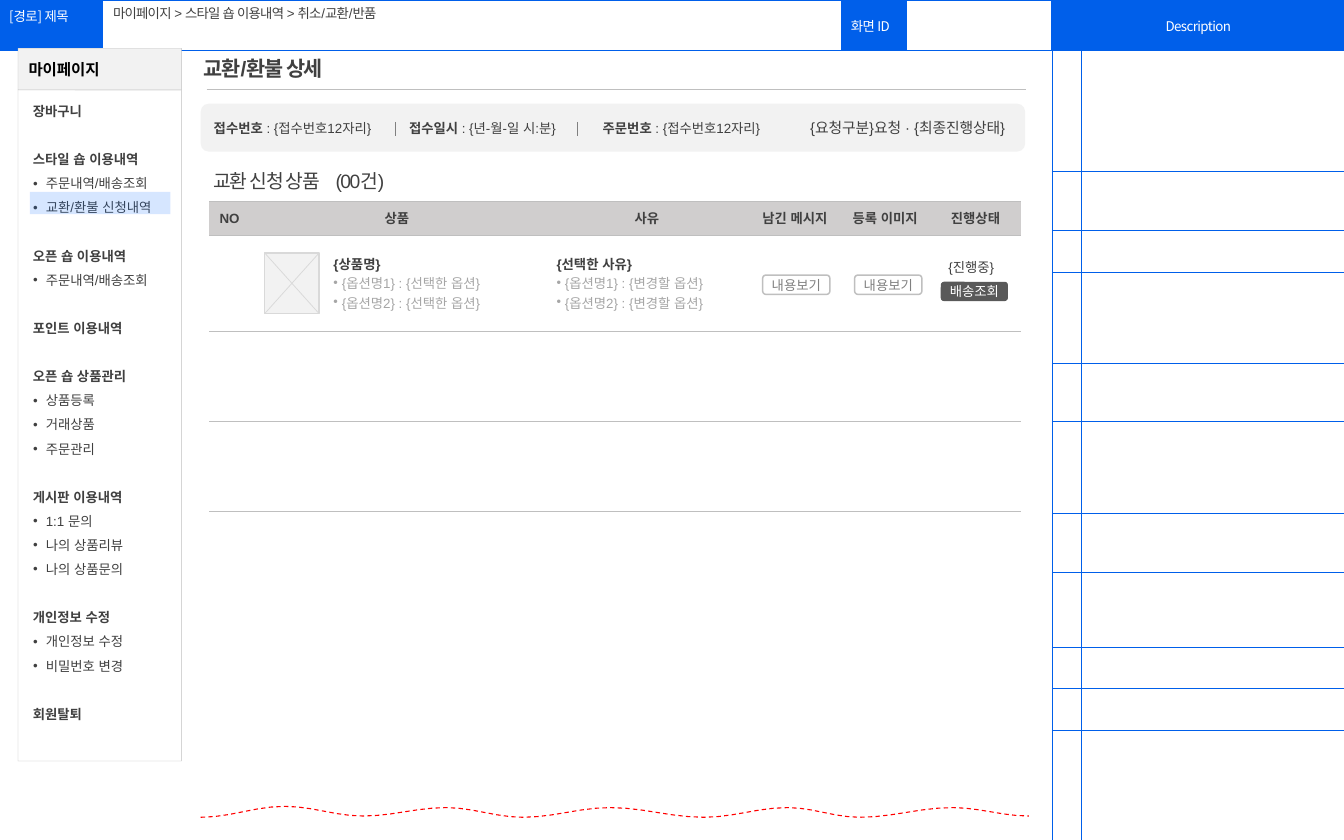
from math import cos, pi

from lxml import etree
from pptx import Presentation
from pptx.dml.color import RGBColor
from pptx.enum.dml import MSO_LINE
from pptx.enum.shapes import MSO_CONNECTOR, MSO_SHAPE
from pptx.enum.text import MSO_ANCHOR, MSO_AUTO_SIZE, PP_ALIGN
from pptx.oxml.ns import qn
from pptx.util import Cm, Pt

LEFT, CENTER, RIGHT = PP_ALIGN.LEFT, PP_ALIGN.CENTER, PP_ALIGN.RIGHT
TOP, MIDDLE = MSO_ANCHOR.TOP, MSO_ANCHOR.MIDDLE
RECT, ROUND = MSO_SHAPE.RECTANGLE, MSO_SHAPE.ROUNDED_RECTANGLE
STRAIGHT, DASH = MSO_CONNECTOR.STRAIGHT, MSO_LINE.DASH
NO_AUTOFIT = MSO_AUTO_SIZE.NONE
LATIN, KOREAN = "Arial", "Noto Sans CJK KR"
PLAIN_TABLE = "{2D5ABB26-0587-4C30-8999-92F81FD0307C}"
MENU_PITCH = Pt(16.27)

BLUE = RGBColor(0x00, 0x5F, 0xEA)
HIGHLIGHT = RGBColor(0x00, 0x66, 0xFF)
RED = RGBColor(0xFF, 0x00, 0x00)
WHITE = RGBColor(0xFF, 0xFF, 0xFF)
BLACK = RGBColor(0x00, 0x00, 0x00)
PALE = RGBColor(0xF2, 0xF2, 0xF2)
FRAME = RGBColor(0xD9, 0xD9, 0xD9)
HEADING = RGBColor(0xD0, 0xCE, 0xCE)
SILVER = RGBColor(0xBF, 0xBF, 0xBF)
MUTED = RGBColor(0xA6, 0xA6, 0xA6)
GRAY = RGBColor(0x80, 0x80, 0x80)
SLATE = RGBColor(0x59, 0x59, 0x59)
TEXT = RGBColor(0x40, 0x40, 0x40)


def write(para, text, size=9, color=TEXT, bold=None, align=LEFT, indent=0,
          hanging=0, bullet_font=None, spacing=0, typeface=LATIN):
    """Fill a paragraph; a hanging indent gives it a bullet."""
    props = para._p.get_or_add_pPr()
    props.set("marL", str(Cm(indent)))
    props.set("indent", str(-Cm(hanging)))
    if bullet_font:
        etree.SubElement(props, qn("a:buFont"), typeface=bullet_font)
    if hanging:
        etree.SubElement(props, qn("a:buChar"), char="•")
    else:
        etree.SubElement(props, qn("a:buNone"))
    para.alignment = align
    para.space_before = Pt(0)
    font = para.font
    font.size, font.bold, font.name = Pt(size), bold, typeface
    font.color.rgb = color
    etree.SubElement(font._rPr, qn("a:ea"), typeface=typeface)
    if spacing:
        font._rPr.set("spc", str(int(spacing * 100)))
    if text:
        para.add_run().text = text


def make_table(left, top, columns, rows, color, width, sides):
    """Add an unstyled table with the given cell borders and no margins."""
    table = page.shapes.add_table(len(rows), len(columns), Cm(left), Cm(top),
                                  Cm(sum(columns)), Cm(sum(rows))).table
    table._tbl.tblPr.find(qn("a:tableStyleId")).text = PLAIN_TABLE
    table.first_row = table.horz_banding = False
    for column, size in zip(table.columns, columns):
        column.width = Cm(size)
    for row, size in zip(table.rows, rows):
        row.height = Cm(size)
    for cell in table.iter_cells():
        cell.margin_left = cell.margin_right = cell.margin_top = cell.margin_bottom = 0
        cell.vertical_anchor = MIDDLE
        for side in sides:
            border = etree.SubElement(cell._tc.tcPr, qn("a:ln" + side), w=str(Pt(width)))
            fill = etree.SubElement(border, qn("a:solidFill"))
            etree.SubElement(fill, qn("a:srgbClr"), val=str(color))
    return table


deck = Presentation()
deck.slide_width, deck.slide_height = Cm(32), Cm(20)
page = deck.slides.add_slide(deck.slide_layouts[1])

# Title and breadcrumb
title, breadcrumb = page.placeholders
for holder, left, top, width, height in ((title, 4.85, 1.32, 7.75, 0.61),
                                         (breadcrumb, 2.44, 0, 17.55, 0.62)):
    holder.left, holder.top, holder.width, holder.height = Cm(left), Cm(top), Cm(width), Cm(height)
    frame = holder.text_frame
    frame.auto_size, frame.vertical_anchor, frame.word_wrap = NO_AUTOFIT, MIDDLE, True
    frame.margin_top = frame.margin_bottom = 0
title.text_frame.margin_left = 0
title.text_frame.vertical_anchor = TOP
write(title.text_frame.paragraphs[0], "교환/환불 상세", 14, bold=True, spacing=-1)
write(breadcrumb.text_frame.paragraphs[0], "마이페이지 > 스타일 숍 이용내역 > 취소/교환/반품", spacing=-0.5)

# Screen header and description grid
header = make_table(0, 0.02, [2.44, 17.6, 1.55, 3.44, 7], [1.18], BLUE, 1, "LRTB")
for index, text, align in ((0, "[경로] 제목", LEFT), (2, "화면 ID", LEFT), (4, "Description", CENTER)):
    cell = header.cell(0, index)
    cell.fill.solid()
    cell.fill.fore_color.rgb = BLUE
    cell.margin_left = cell.margin_right = Cm(0.22)
    write(cell.text_frame.paragraphs[0], text, color=WHITE, align=align, spacing=-0.4, typeface=KOREAN)
header.cell(0, 0).vertical_anchor = TOP
header.cell(0, 0).margin_top = Cm(0.13)
make_table(25.05, 0.71, [0.69, 6.27],
           [3.37, 1.4, 0.99, 2.17, 1.4, 2.18, 1.4, 1.78, 0.99, 0.99, 2.64], BLUE, 0.25, "LRB")

# Requested items
items = make_table(4.98, 4.8, [0.97, 7, 4.9, 2.15, 2.15, 2.15],
                   [0.81, 2.29, 2.13, 2.14], SILVER, 1, "TB")
for index, text in enumerate(("NO", "상품", "사유", "남긴 메시지", "등록 이미지", "진행상태")):
    cell = items.cell(0, index)
    cell.fill.solid()
    cell.fill.fore_color.rgb = HEADING
    write(cell.text_frame.paragraphs[0], text, bold=True, align=CENTER)
for index, margin, name, choice in ((1, 1.99, "{상품명}", "선택한"), (2, 0.3, "{선택한 사유}", "변경할")):
    cell = items.cell(1, index)
    cell.margin_left, cell.margin_top = Cm(margin), Cm(0.03)
    frame = cell.text_frame
    write(frame.paragraphs[0], name, bold=True)
    for number in (1, 2):
        write(frame.add_paragraph(), f"{{옵션명{number}}} : {{{choice} 옵션}}",
              color=MUTED, indent=0.2, hanging=0.2)
    for para in frame.paragraphs:
        para.space_after = Pt(3)
status = items.cell(1, 5)
status.vertical_anchor, status.margin_top, status.margin_right = TOP, Cm(0.58), Cm(0.2)
write(status.text_frame.paragraphs[0], "{진행중}", align=CENTER)

# Boxes: shape, left, top, width, height, fill, line, line width
boxes = {}
for name, kind, left, top, width, height, fill, line, weight in (
        ("menu", ROUND, 0.43, 2.14, 3.89, 15.98, None, SILVER, 0.25),
        ("menu head", ROUND, 0.43, 1.15, 3.89, 0.99, PALE, SILVER, 0.25),
        ("current page", RECT, 0.71, 4.57, 3.35, 0.53, HIGHLIGHT, None, 0),
        ("receipt", ROUND, 4.78, 2.47, 19.63, 1.14, PALE, None, 0),
        ("thumbnail", RECT, 6.3, 6.02, 1.3, 1.45, PALE, FRAME, 1),
        ("message", ROUND, 18.16, 6.55, 1.6, 0.46, WHITE, SILVER, 1),
        ("image", ROUND, 20.35, 6.55, 1.6, 0.46, WHITE, SILVER, 1),
        ("delivery", ROUND, 22.4, 6.71, 1.6, 0.46, SLATE, None, 0)):
    box = page.shapes.add_shape(kind, Cm(left), Cm(top), Cm(width), Cm(height))
    box.shadow.inherit = False
    box.fill.background()
    if fill is not None:
        box.fill.solid()
        box.fill.fore_color.rgb = fill
    box.line.fill.background()
    if line is not None:
        box.line.color.rgb, box.line.width = line, Pt(weight)
    boxes[name] = box
boxes["menu"].adjustments[0] = boxes["menu head"].adjustments[0] = 0.001
tint = boxes["current page"].fill._xPr.find(".//" + qn("a:srgbClr"))
etree.SubElement(tint, qn("a:alpha"), val="16000")

# Side menu
write(boxes["menu head"].text_frame.paragraphs[0], "마이페이지", 10.5, BLACK, True)
menu = (("장바구니",),
        ("스타일 숍 이용내역", "주문내역/배송조회", "교환/환불 신청내역"),
        ("오픈 숍 이용내역", "주문내역/배송조회"),
        ("포인트 이용내역",),
        ("오픈 숍 상품관리", "상품등록", "거래상품", "주문관리"),
        ("게시판 이용내역", "1:1 문의", "나의 상품리뷰", "나의 상품문의"),
        ("개인정보 수정", "개인정보 수정", "비밀번호 변경"),
        ("회원탈퇴",))
frame = boxes["menu"].text_frame
frame.vertical_anchor = TOP
for group, (heading, *links) in enumerate(menu):
    para = frame.add_paragraph() if group else frame.paragraphs[0]
    write(para, heading, bold=True, indent=0.1)
    para.space_before = MENU_PITCH if group else Pt(0)
    para.line_spacing = MENU_PITCH
    for link in links:
        para = frame.add_paragraph()
        write(para, link, indent=0.41, hanging=0.3, bullet_font=LATIN)
        para.line_spacing = MENU_PITCH

# Buttons
for name, text, color in (("message", "내용보기", GRAY), ("image", "내용보기", GRAY),
                          ("delivery", "배송조회", WHITE)):
    frame = boxes[name].text_frame
    frame.margin_left = frame.margin_right = frame.margin_top = frame.margin_bottom = 0
    write(frame.paragraphs[0], text, color=color, align=CENTER)

# Receipt facts, request state and item count
for left, top, width, height, label, text, size, align, spacing in (
        (5.09, 2.7, 4.3, 0.69, "접수번호 ", ": {접수번호12자리}", 9, LEFT, 0),
        (9.74, 2.7, 4.4, 0.69, "접수일시 ", ": {년-월-일 시:분}", 9, LEFT, 0),
        (14.35, 2.7, 4.3, 0.69, "주문번호 ", ": {접수번호12자리}", 9, LEFT, 0),
        (18.6, 2.69, 5.33, 0.69, "", "{요청구분}요청 · {최종진행상태}", 10, RIGHT, 0),
        (5.09, 4.03, 2.8, 0.56, "", "교환 신청 상품", 13, LEFT, -1),
        (7.99, 4.03, 2.5, 0.56, "", "(00건)", 13, LEFT, -1)):
    box = page.shapes.add_textbox(Cm(left), Cm(top), Cm(width), Cm(height))
    frame = box.text_frame
    frame.word_wrap, frame.vertical_anchor = True, MIDDLE
    frame.margin_left = frame.margin_right = frame.margin_top = frame.margin_bottom = 0
    para = frame.paragraphs[0]
    write(para, label, size, align=align, spacing=spacing)
    for span in para.runs:
        span.font.bold = True
    para.add_run().text = text

# Title rule, receipt dividers and thumbnail cross
for x1, y1, x2, y2, color in ((4.92, 2.13, 24.44, 2.13, SILVER),
                              (9.42, 2.9, 9.42, 3.23, GRAY), (13.74, 2.9, 13.74, 3.23, GRAY),
                              (6.3, 6.02, 7.6, 7.47, FRAME), (7.6, 6.02, 6.3, 7.47, FRAME)):
    rule = page.shapes.add_connector(STRAIGHT, Cm(x1), Cm(y1), Cm(x2), Cm(y2))
    rule.line.color.rgb, rule.line.width = color, Pt(0.5)
    etree.SubElement(rule._element.spPr, qn("a:effectLst"))

# Wavy page break, eased between its turning points
turns = ((4.78, 19.46), (6.78, 19.2), (8.64, 19.43), (10.62, 19.23), (12.45, 19.46), (14.53, 19.23),
         (16.76, 19.46), (18.75, 19.23), (20.47, 19.46), (22.68, 19.23), (24.5, 19.43))
points = [(Cm(x1 + (x2 - x1) * step / 6), Cm(y1 + (y2 - y1) * (1 - cos(pi * step / 6)) / 2))
          for (x1, y1), (x2, y2) in zip(turns, turns[1:]) for step in range(1, 7)]
builder = page.shapes.build_freeform(Cm(turns[0][0]), Cm(turns[0][1]))
builder.add_line_segments(points, close=False)
wave = builder.convert_to_shape()
wave.shadow.inherit = False
wave.fill.background()
wave.line.color.rgb, wave.line.width, wave.line.dash_style = RED, Pt(0.75), DASH

deck.save("out.pptx")
